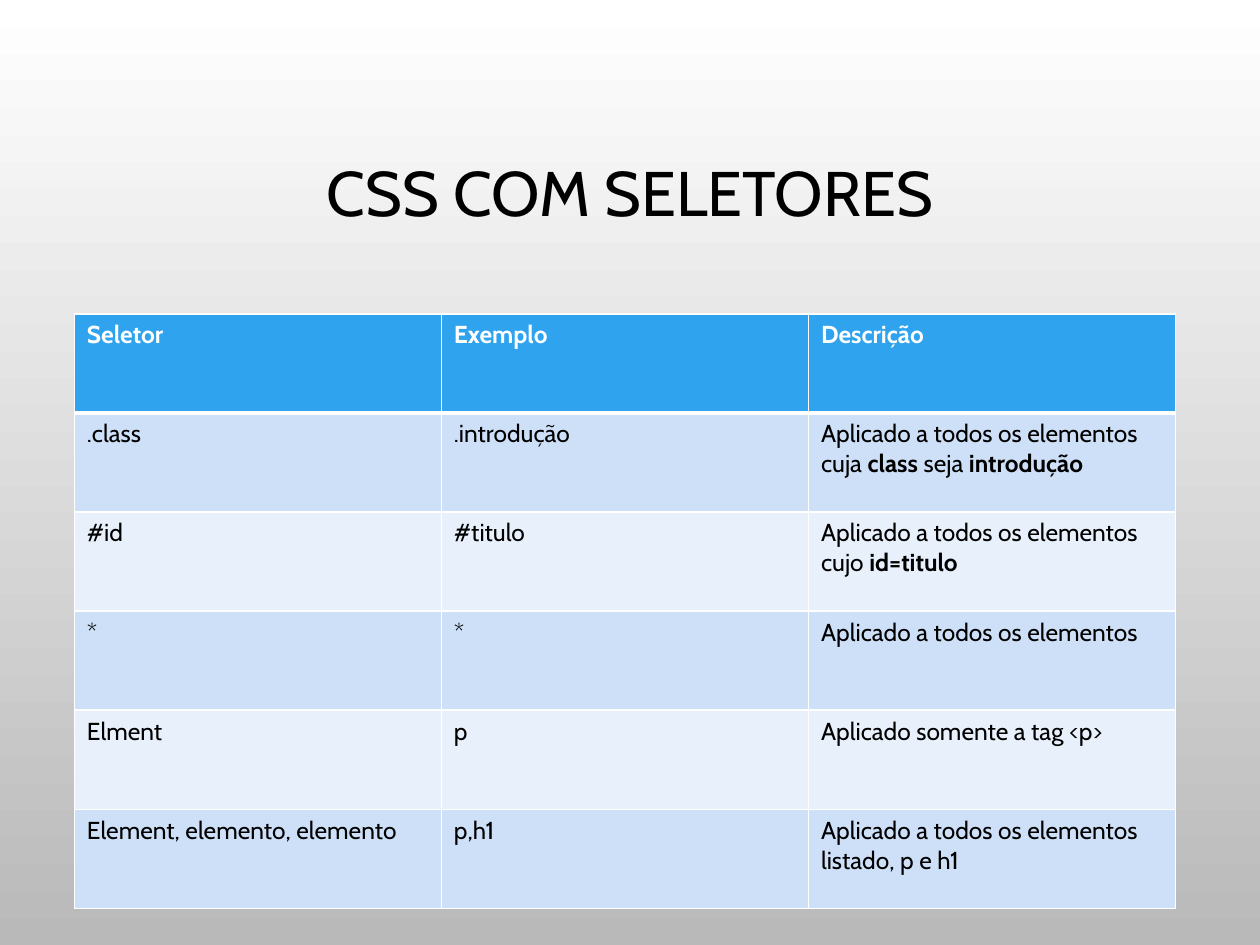
import pptx
import pptx.dml.color
import pptx.enum.text
import pptx.oxml
import pptx.oxml.ns
import pptx.util
from pptx.util import Inches

COLORS = {
    "black": "000000",
    "white": "FFFFFF",
    "page_bottom": "B9B9B9",
    "header": "2FA3EE",
    "band_dark": "CDE0F8",
    "band_light": "E8F0FC",
}

# Each cell is a list of (text, bold) runs
HEADINGS = [[("Seletor", True)], [("Exemplo", True)], [("Descrição", True)]]
SELECTORS = [
    [[(".class", False)], [(".introdução", False)],
     [("Aplicado a todos os elementos cuja ", False), ("class", True),
      (" seja ", False), ("introdução", True)]],
    [[("#id", False)], [("#titulo", False)],
     [("Aplicado a todos os elementos cujo ", False), ("id=titulo", True)]],
    [[("*", False)], [("*", False)],
     [("Aplicado a todos os elementos", False)]],
    [[("Elment", False)], [("p", False)],
     [("Aplicado somente a tag <p>", False)]],
    [[("Element, elemento, elemento", False)], [("p,h1", False)],
     [("Aplicado a todos os elementos listado, p e h1", False)]],
]


def rgb(name):
    return pptx.dml.color.RGBColor.from_string(COLORS[name])


def add_run(paragraph, text, size, color, bold=False):
    run = paragraph.add_run()
    run.text = text
    formats = {"name": "Cabin", "size": pptx.util.Pt(size), "bold": bold}
    for attribute, value in formats.items():
        setattr(run.font, attribute, value)
    run.font.color.rgb = rgb(color)


def paint_background(slide):
    fill = slide.background.fill
    fill.gradient()
    fill.gradient_angle = 270
    for stop, color in zip(fill.gradient_stops, ("white", "page_bottom")):
        stop.color.rgb = rgb(color)


def add_title(slide, text):
    title = slide.shapes.add_textbox(
        Inches(0.75), Inches(0.68), Inches(8.5), Inches(1.75))
    frame = title.text_frame
    frame.word_wrap = True
    frame.vertical_anchor = pptx.enum.text.MSO_ANCHOR.MIDDLE
    heading = frame.paragraphs[0]
    heading.alignment = pptx.enum.text.PP_ALIGN.CENTER
    heading.line_spacing = 0.9
    add_run(heading, text, 36, "black")


def set_borders(cell, widths):
    properties = cell._tc.get_or_add_tcPr()
    for side, width in widths.items():
        properties.append(pptx.oxml.parse_xml(
            f'<a:ln{side} {pptx.oxml.ns.nsdecls("a")} w="{pptx.util.Pt(width)}">'
            f'<a:solidFill><a:srgbClr val="{COLORS["white"]}"/></a:solidFill>'
            f'</a:ln{side}>'))


def fill_cell(cell, runs, background, text_color, widths):
    # Borders come before the fill in the cell properties
    set_borders(cell, widths)
    cell.fill.solid()
    cell.fill.fore_color.rgb = rgb(background)
    for text, bold in runs:
        add_run(cell.text_frame.paragraphs[0], text, 14, text_color, bold)


def add_selector_table(slide):
    rows = [HEADINGS] + SELECTORS
    table = slide.shapes.add_table(
        len(rows), len(HEADINGS), Inches(0.59), Inches(2.49),
        Inches(8.74), Inches(4.72)).table
    for r, row in enumerate(rows):
        if r == 0:
            background, text_color = "header", "white"
        else:
            background = "band_dark" if r % 2 else "band_light"
            text_color = "black"
        # The line under the header is thicker
        widths = {"L": 1, "R": 1, "T": 3 if r == 1 else 1, "B": 3 if r == 0 else 1}
        for c, runs in enumerate(row):
            fill_cell(table.cell(r, c), runs, background, text_color, widths)


def main():
    presentation = pptx.Presentation()
    presentation.slide_width = Inches(10)
    presentation.slide_height = Inches(7.5)
    slide = presentation.slides.add_slide(presentation.slide_layouts[6])
    paint_background(slide)
    add_title(slide, "CSS COM SELETORES")
    add_selector_table(slide)
    presentation.save("out.pptx")


if __name__ == "__main__":
    main()
